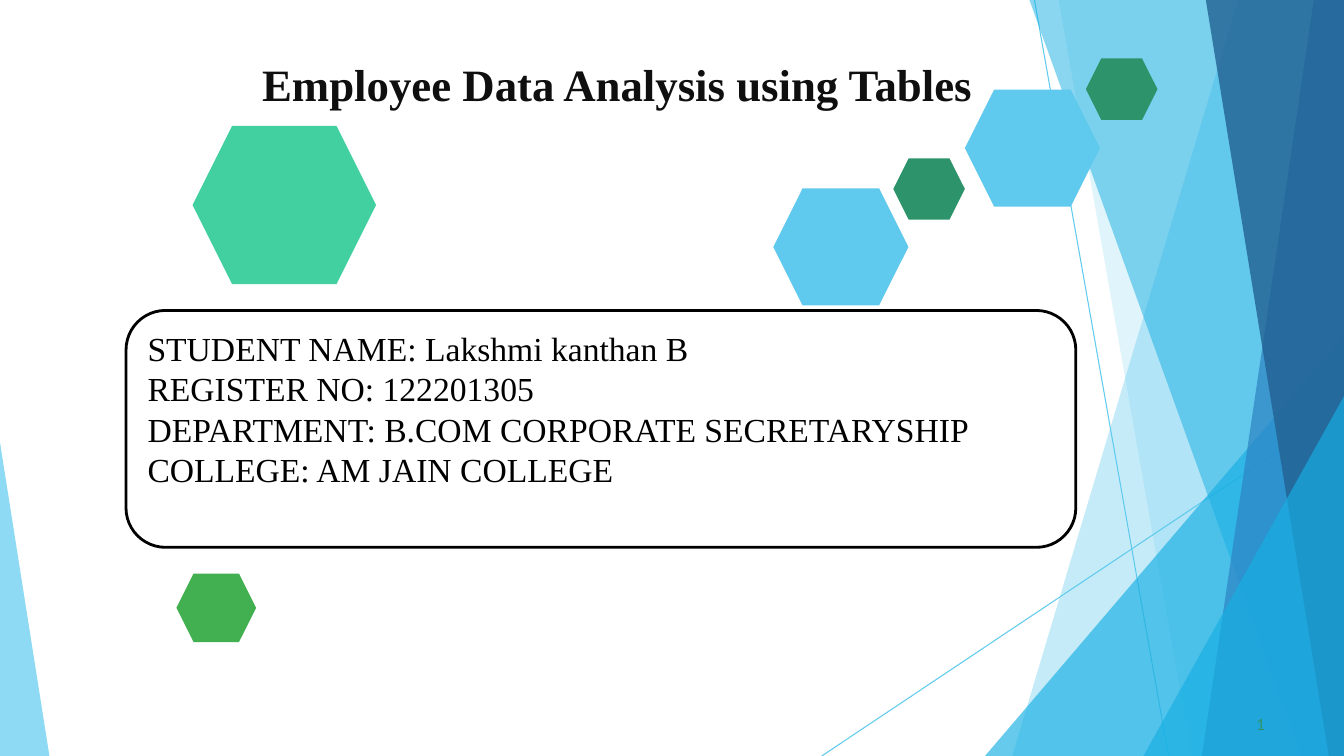
import pptx
import pptx.util
import pptx.dml.color
import pptx.enum.shapes
import pptx.enum.text
import pptx.oxml.ns
import lxml.etree
from pptx.util import Inches
from dataclasses import dataclass


@dataclass(frozen=True)
class Theme:
    sky: str = "5FCAEE"
    cyan: str = "17AFE3"
    blue: str = "2D83C3"
    navy: str = "226192"
    mint: str = "42D0A1"
    green: str = "42AF51"
    forest: str = "2D936B"
    ink: str = "0F0F0F"
    black: str = "000000"
    white: str = "FFFFFF"
    serif: str = "Times New Roman"
    sans: str = "Lato"
    title_size: int = 32
    detail_size: int = 24
    number_size: int = 11


theme = Theme()
WIDTH, HEIGHT = 13.33, 7.5


def paint(shape, color, opacity=100):
    """Fill a shape without outline or shadow."""
    shape.shadow.inherit = False
    shape.line.fill.background()
    shape.fill.solid()
    shape.fill.fore_color.rgb = pptx.dml.color.RGBColor.from_string(color)
    if opacity < 100:
        rgb = shape.fill._xPr.find(".//" + pptx.oxml.ns.qn("a:srgbClr"))
        alpha = lxml.etree.SubElement(rgb, pptx.oxml.ns.qn("a:alpha"))
        alpha.set("val", str(opacity * 1000))


def write(paragraph, text, font, size, color, bold=False):
    """Add one left-aligned run."""
    paragraph.alignment = pptx.enum.text.PP_ALIGN.LEFT
    run = paragraph.add_run()
    run.text = text
    run.font.name = font
    run.font.size = pptx.util.Pt(size)
    run.font.bold = bold
    run.font.color.rgb = pptx.dml.color.RGBColor.from_string(color)


presentation = pptx.Presentation()
presentation.slide_width = Inches(WIDTH)
presentation.slide_height = Inches(HEIGHT)
slide = presentation.slides.add_slide(presentation.slide_layouts[5])

# Thin crossing lines
for x1, y1, x2, y2 in [(10.26, 0, 11.59, HEIGHT), (WIDTH, 4.04, 8.15, HEIGHT)]:
    ray = slide.shapes.add_connector(
        pptx.enum.shapes.MSO_CONNECTOR.STRAIGHT,
        Inches(x1), Inches(y1), Inches(x2), Inches(y2))
    ray.line.color.rgb = pptx.dml.color.RGBColor.from_string(theme.sky)
    ray.line.width = pptx.util.Pt(0.75)
    lxml.etree.SubElement(ray._element.spPr, pptx.oxml.ns.qn("a:effectLst"))

# Translucent facets: outer edge, top x, top y, bottom x, colour, opacity
facets = [
    (WIDTH, 12.28, 0, 10.04, theme.sky, 36),
    (WIDTH, 10.5, 0, 11.82, theme.sky, 20),
    (WIDTH, WIDTH, 3.33, 9.77, theme.cyan, 66),
    (WIDTH, 10.21, 0, 12.91, theme.cyan, 50),
    (WIDTH, 13.03, 0, 11.92, theme.blue, 70),
    (WIDTH, 11.96, 0, 13.18, theme.navy, 80),
    (WIDTH, WIDTH, 3.93, 11.34, theme.cyan, 66),
    (0, 0, 4.39, 0.49, theme.sky, 70),
]
for edge, top_x, top_y, bottom_x, color, opacity in facets:
    outline = slide.shapes.build_freeform(Inches(edge), Inches(top_y))
    corners = [(top_x, top_y), (bottom_x, HEIGHT), (edge, HEIGHT)]
    outline.add_line_segments([(Inches(x), Inches(y)) for x, y in corners])
    paint(outline.convert_to_shape(), color, opacity)

# Hexagons
hexagons = [
    (7.67, 1.87, 1.34, 1.16, theme.sky),
    (8.86, 1.57, 0.71, 0.61, theme.forest),
    (1.91, 1.25, 1.82, 1.57, theme.mint),
    (1.75, 5.69, 0.79, 0.68, theme.green),
    (9.57, 0.89, 1.34, 1.16, theme.sky),
    (10.77, 0.58, 0.71, 0.61, theme.forest),
]
for left, top, width, height, color in hexagons:
    hexagon = slide.shapes.add_shape(
        pptx.enum.shapes.MSO_SHAPE.HEXAGON,
        Inches(left), Inches(top), Inches(width), Inches(height))
    paint(hexagon, color)

# Title
title = slide.shapes.title
title.left, title.top = Inches(2.6), Inches(0.54)
title.width, title.height = Inches(7.41), Inches(1.1)
heading = title.text_frame
heading.margin_left = heading.margin_right = heading.margin_bottom = 0
heading.margin_top = Inches(0.02)
heading.vertical_anchor = pptx.enum.text.MSO_ANCHOR.TOP
heading.paragraphs[0].space_before = pptx.util.Pt(1.3)
write(heading.paragraphs[0], "Employee Data Analysis using Tables",
      theme.serif, theme.title_size, theme.ink, bold=True)

# Student details
card = slide.shapes.add_shape(
    pptx.enum.shapes.MSO_SHAPE.ROUNDED_RECTANGLE,
    Inches(1.25), Inches(3.08), Inches(9.42), Inches(2.35))
paint(card, theme.white)
card.line.color.rgb = pptx.dml.color.RGBColor.from_string(theme.black)
card.line.width = pptx.util.Pt(2)
details = card.text_frame
details.word_wrap = True
details.vertical_anchor = pptx.enum.text.MSO_ANCHOR.TOP
details.margin_top = Inches(0.06)
lines = [
    "STUDENT NAME: Lakshmi kanthan B",
    "REGISTER NO: 122201305",
    "DEPARTMENT: B.COM CORPORATE SECRETARYSHIP",
    "COLLEGE: AM JAIN COLLEGE",
]
for index, line in enumerate(lines):
    paragraph = details.add_paragraph() if index else details.paragraphs[0]
    write(paragraph, line, theme.serif, theme.detail_size, theme.black)

# Page number
page_box = slide.shapes.add_textbox(
    Inches(12.42), Inches(7.08), Inches(0.17), Inches(0.21))
page = page_box.text_frame
page.word_wrap = True
page.margin_left = Inches(0.04)
page.margin_right = page.margin_bottom = 0
page.margin_top = Inches(0.01)
page.paragraphs[0].space_before = pptx.util.Pt(0.6)
write(page.paragraphs[0], "1", theme.sans, theme.number_size, theme.forest)

presentation.save("out.pptx")
